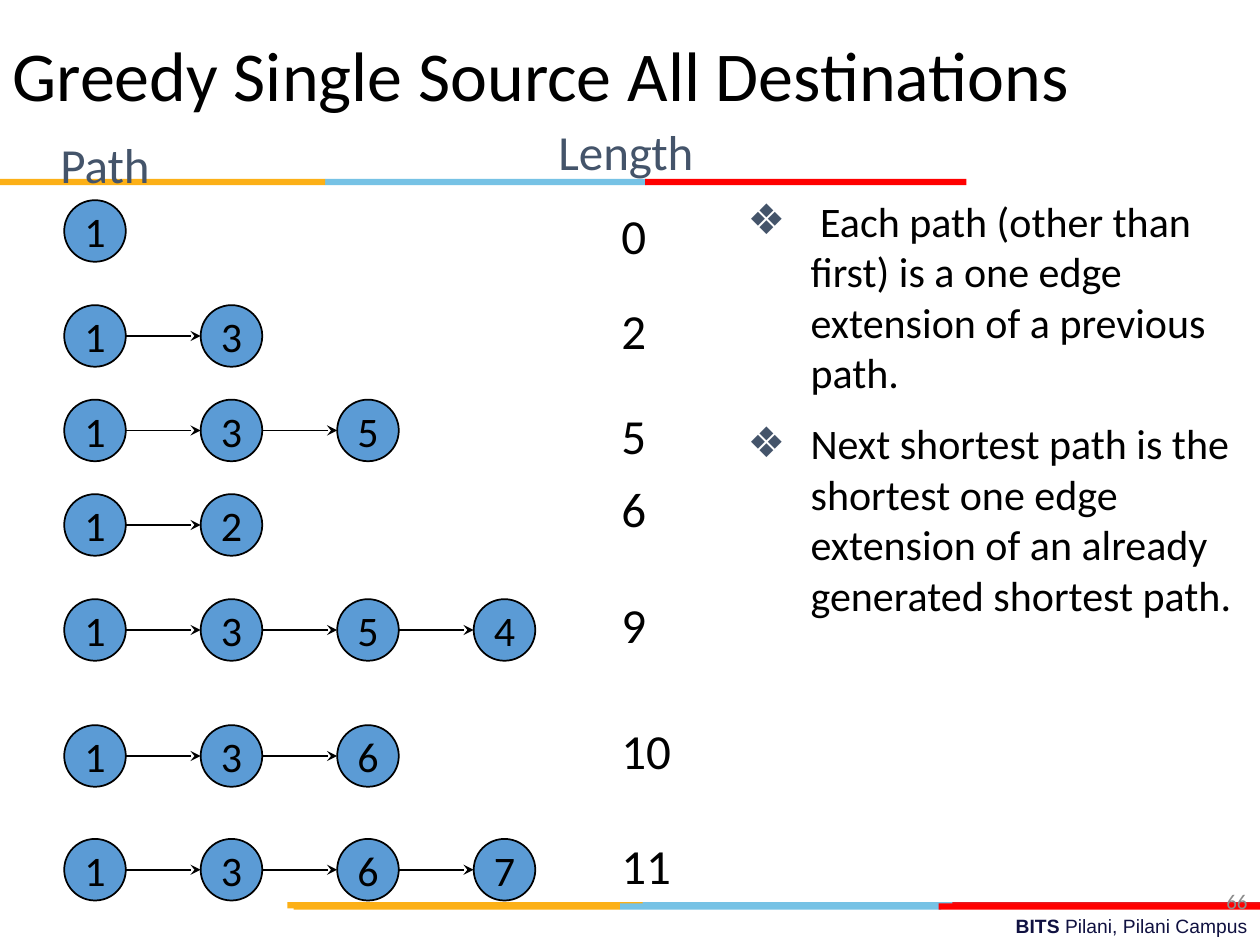
from pptx import Presentation
from pptx.dml.color import RGBColor
from pptx.enum.shapes import MSO_CONNECTOR, MSO_SHAPE
from pptx.enum.text import MSO_ANCHOR, MSO_AUTO_SIZE, PP_ALIGN
from pptx.oxml.ns import qn
from pptx.util import Pt
from lxml.etree import SubElement

BLACK = RGBColor(0x00, 0x00, 0x00)
SLATE = RGBColor(0x44, 0x54, 0x6A)
GRAY = RGBColor(0x8C, 0x8C, 0x8C)
NAVY = RGBColor(0x10, 0x11, 0x41)
NODE_BLUE = RGBColor(0x5B, 0x9B, 0xD5)
SKY = RGBColor(0x76, 0xC2, 0xE5)
GOLD = RGBColor(0xFC, 0xB0, 0x17)
CRIMSON = RGBColor(0xE3, 0x1C, 0x24)
RED = RGBColor(0xFF, 0x00, 0x00)


def format_text(paragraph, size, color, font="Calibri"):
    for span in paragraph.runs:
        span.font.size = Pt(size)
        span.font.name = font
        span.font.color.rgb = color


def add_label(page, text, left, top, width, height, size, color):
    box = page.shapes.add_textbox(Pt(left), Pt(top), Pt(width), Pt(height))
    box.text_frame.word_wrap = True
    box.text_frame.text = text
    format_text(box.text_frame.paragraphs[0], size, color)
    return box


deck = Presentation()
deck.slide_width, deck.slide_height = Pt(720), Pt(540)
page = deck.slides.add_slide(deck.slide_layouts[1])

title = page.shapes.title
title.left, title.top, title.width, title.height = Pt(0), Pt(0), Pt(678), Pt(90)
title.text_frame.text = "Greedy Single Source All Destinations"
title.text_frame.auto_size = MSO_AUTO_SIZE.NONE
title.text_frame.vertical_anchor = MSO_ANCHOR.MIDDLE
heading = title.text_frame.paragraphs[0]
heading.alignment = PP_ALIGN.LEFT
heading.line_spacing = 0.9
format_text(heading, 40, BLACK)

body = page.placeholders[1]
body.left, body.top, body.width, body.height = Pt(420), Pt(108), Pt(294), Pt(254)
body.text_frame.auto_size = MSO_AUTO_SIZE.NONE
remarks = [
    " Each path (other than first) is a one edge extension of a previous path.",
    "Next shortest path is the shortest one edge extension of an already generated shortest path.",
]
body.text_frame.text = "\n".join(remarks)
for paragraph, gap in zip(body.text_frame.paragraphs, (0, 12)):
    paragraph.space_before = Pt(gap)
    properties = paragraph._p.get_or_add_pPr()
    properties.set("marL", str(Pt(36)))
    properties.set("indent", str(-Pt(36)))
    bullet_color = SubElement(properties, qn("a:buClr"))
    SubElement(bullet_color, qn("a:srgbClr")).set("val", str(SLATE))
    SubElement(properties, qn("a:buChar")).set("char", "❖")
    format_text(paragraph, 24, BLACK)

bars = [
    (364.3, 515.5, 183.6, SKY),
    (544.3, 515.5, 175.7, CRIMSON),
    (164.2, 515.5, 203, GOLD),
    (354.2, 516.2, 183.6, SKY),
    (167.8, 516.2, 186.4, GOLD),
    (536.4, 516.2, 183.6, RED),
    (185.8, 102.2, 183.6, SKY),
    (0, 102.2, 185.8, GOLD),
    (368.6, 102.2, 183.6, RED),
]
for left, top, width, color in bars:
    bar = page.shapes.add_shape(MSO_SHAPE.RECTANGLE, Pt(left), Pt(top), Pt(width), Pt(3.6))
    bar.shadow.inherit = False
    bar.fill.solid()
    bar.fill.fore_color.rgb = color
    bar.line.fill.background()

footer = page.shapes.add_textbox(Pt(257.8), Pt(519.1), Pt(462.2), Pt(20.9))
footer.text_frame.word_wrap = True
campus = footer.text_frame.paragraphs[0]
campus.alignment = PP_ALIGN.RIGHT
for text, bold in (("BITS ", True), ("Pilani, Pilani Campus", False)):
    span = campus.add_run()
    span.text = text
    span.font.bold = bold
format_text(campus, 11, NAVY, "Arial")

number = add_label(page, "66", 552, 500.4, 168, 28.8, 12, GRAY)
number.text_frame.vertical_anchor = MSO_ANCHOR.MIDDLE
number.text_frame.paragraphs[0].alignment = PP_ALIGN.RIGHT

add_label(page, "Path", 27.4, 73.4, 66, 41, 28, SLATE)
add_label(page, "Length", 312, 66, 108, 41, 28, SLATE)

NODE_SIZE = 35.2
FIRST_CENTER = 54.3
NODE_STEP = 78
paths = [
    ("1", "0", 132, 114),
    ("13", "2", 192, 168),
    ("135", "5", 246, 228),
    ("12", "6", 300, 270),
    ("1354", "9", 360, 336),
    ("136", "10", 432, 408),
    ("1367", "11", 497, 474),
]
for vertices, length, middle, length_top in paths:
    for index, vertex in enumerate(vertices):
        left = FIRST_CENTER + index * NODE_STEP - NODE_SIZE / 2
        node = page.shapes.add_shape(
            MSO_SHAPE.OVAL, Pt(left), Pt(middle - NODE_SIZE / 2), Pt(NODE_SIZE), Pt(NODE_SIZE))
        node.shadow.inherit = False
        node.fill.solid()
        node.fill.fore_color.rgb = NODE_BLUE
        node.line.color.rgb = BLACK
        node.line.width = Pt(1)
        frame = node.text_frame
        frame.margin_left = frame.margin_right = frame.margin_top = frame.margin_bottom = Pt(0)
        frame.word_wrap = False
        frame.vertical_anchor = MSO_ANCHOR.MIDDLE
        frame.text = vertex
        frame.paragraphs[0].alignment = PP_ALIGN.CENTER
        format_text(frame.paragraphs[0], 24, BLACK)
        if index:
            edge = page.shapes.add_connector(
                MSO_CONNECTOR.STRAIGHT, Pt(left - NODE_STEP + NODE_SIZE), Pt(middle),
                Pt(left), Pt(middle))
            edge.line.color.rgb = BLACK
            edge.line.width = Pt(1)
            SubElement(edge.line._get_or_add_ln(), qn("a:tailEnd")).set("type", "stealth")
            SubElement(edge._element.spPr, qn("a:effectLst"))
    add_label(page, length, 348, length_top, 30 if len(length) == 1 else 48, 41, 28, BLACK)

deck.save("out.pptx")
